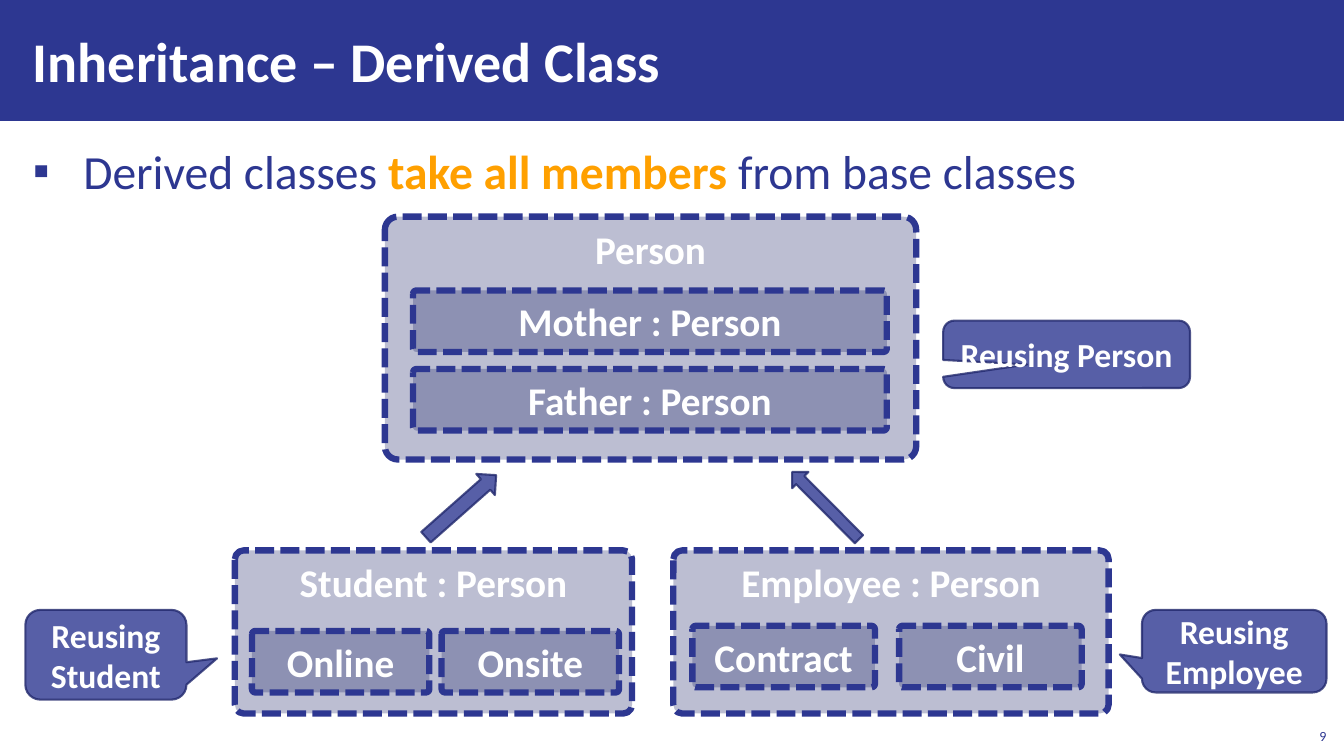
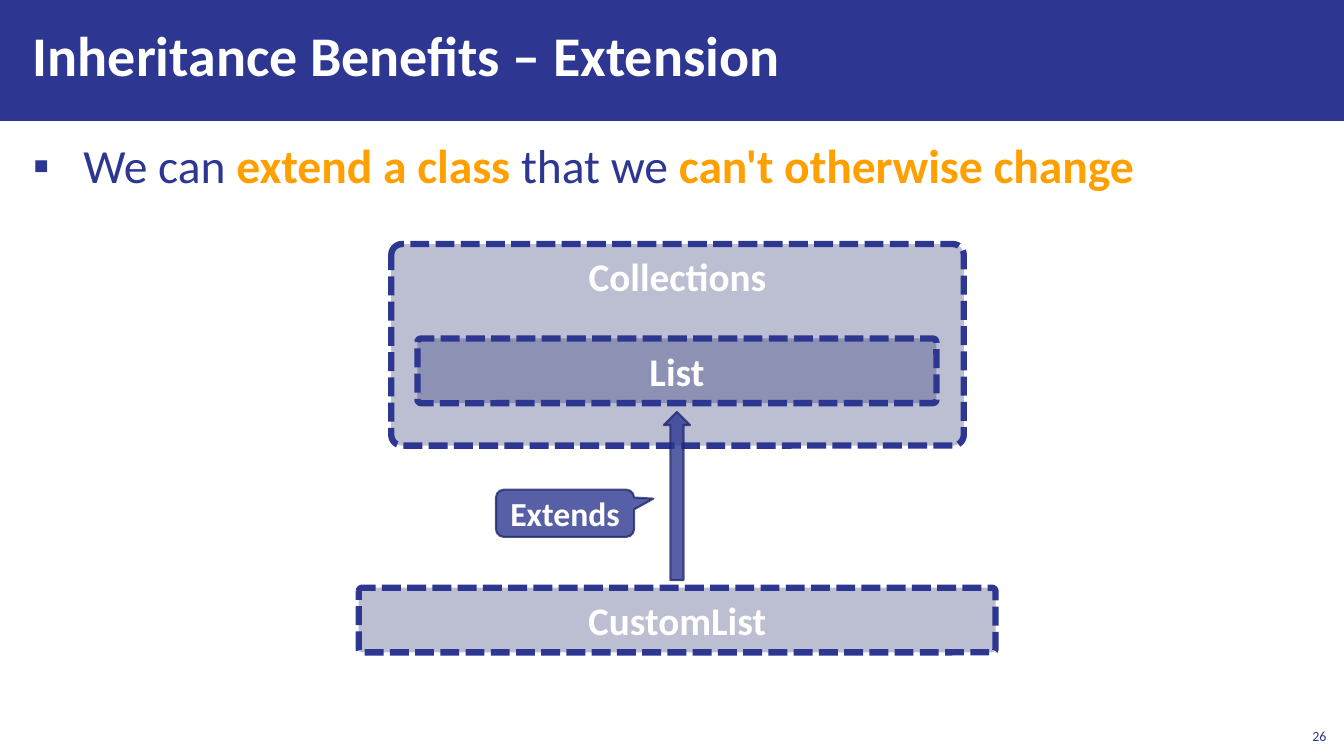
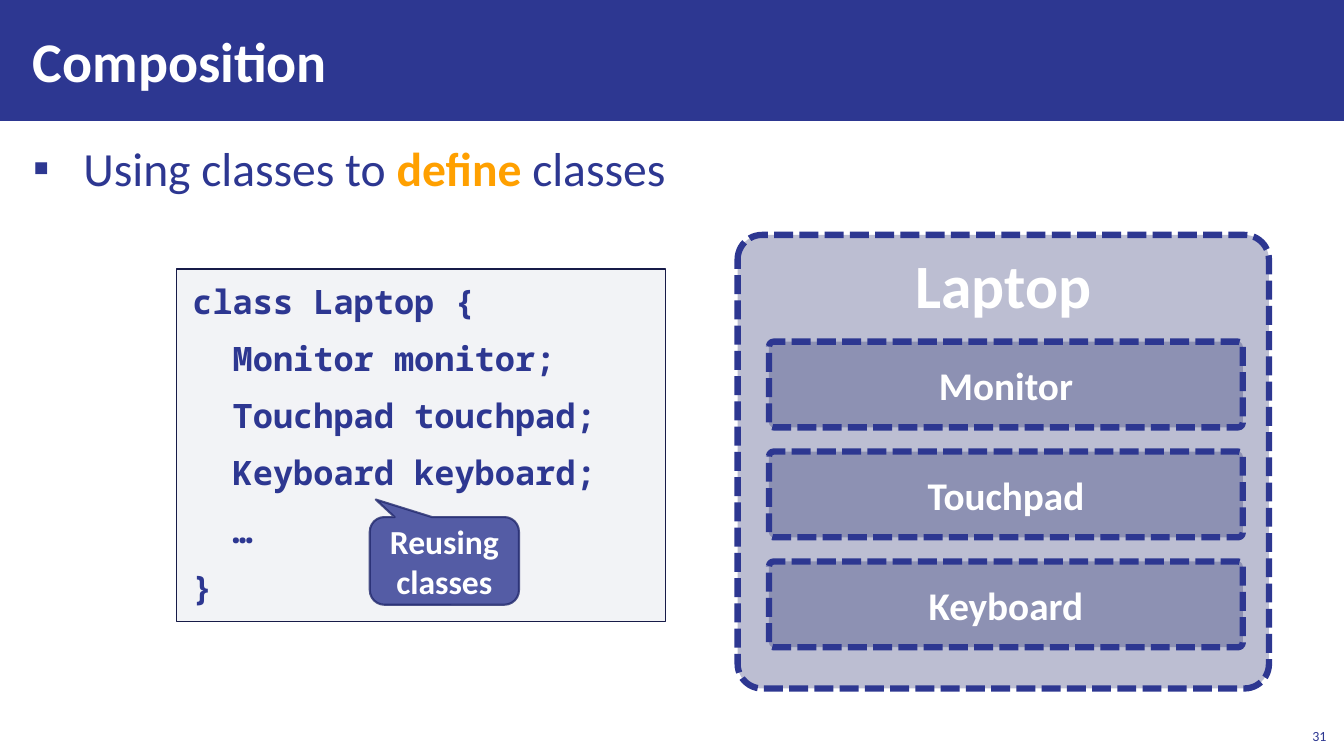
from lxml import etree
from pptx import Presentation
from pptx.dml.color import RGBColor
from pptx.enum import dml, shapes, text
from pptx.oxml import ns
from pptx.util import Cm, Pt

NAVY = RGBColor(0x2D, 0x37, 0x91)
DARK = RGBColor(0x22, 0x29, 0x6D)
CODE_LINE = RGBColor(0x17, 0x1B, 0x48)
CODE_FILL = RGBColor(0xAD, 0xB4, 0xC3)
ORANGE = RGBColor(0xFF, 0xA0, 0x00)
WHITE = RGBColor(0xFF, 0xFF, 0xFF)
FONT = "Calibri"
CODE_FONT = "Noto Sans Mono"
SHAPE = shapes.MSO_SHAPE
TOP, MIDDLE, BOTTOM = (text.MSO_ANCHOR.TOP, text.MSO_ANCHOR.MIDDLE,
                       text.MSO_ANCHOR.BOTTOM)
LEFT, CENTER, RIGHT = (text.PP_ALIGN.LEFT, text.PP_ALIGN.CENTER,
                       text.PP_ALIGN.RIGHT)


def place(sp, left, top, width, height):
    sp.left, sp.top, sp.width, sp.height = map(Cm, (left, top, width, height))


def set_frame(tf, anchor, side, end):
    """Wrap the text, fix its size, and set the anchor and the margins."""
    tf.word_wrap = True
    tf.auto_size = text.MSO_AUTO_SIZE.NONE
    tf.vertical_anchor = anchor
    tf.margin_left = tf.margin_right = Cm(side)
    tf.margin_top = tf.margin_bottom = Cm(end)


def style_run(r, size, color, bold=False, font=FONT):
    r.font.name = font
    r.font.size = Pt(size)
    r.font.bold = bold
    r.font.color.rgb = color


def set_color(fill, color, opacity=100):
    fill.solid()
    fill.fore_color.rgb = color
    if opacity < 100:
        clr = fill._xPr.find(".//" + ns.qn("a:srgbClr"))
        etree.SubElement(clr, ns.qn("a:alpha"), val=str(opacity * 1000))


def add_shape(s, kind, at, fill, opacity=100):
    sp = s.shapes.add_shape(kind, *map(Cm, at))
    sp.shadow.inherit = False
    set_color(sp.fill, fill, opacity)
    return sp


def set_label(sp, label, size, anchor=MIDDLE):
    tf = sp.text_frame
    set_frame(tf, anchor, 0.25, 0.13)
    tf.text = label
    p = tf.paragraphs[0]
    p.alignment = CENTER
    style_run(p.runs[0], size, WHITE, True)


def add_class(s, label, at, anchor=MIDDLE, size=28):
    """Dashed, see-through box that stands for a class."""
    sp = add_shape(s, SHAPE.ROUNDED_RECTANGLE, at, DARK, 30)
    sp.adjustments[0] = 0.054
    sp.line.color.rgb = NAVY
    sp.line.width = Pt(4.5)
    sp.line.dash_style = dml.MSO_LINE.SQUARE_DOT
    set_label(sp, label, size, anchor)


def add_members(s, labels, at, dx=0, dy=0):
    """Equal class boxes in a row (dx) or a column (dy)."""
    left, top, width, height = at
    for i, label in enumerate(labels):
        add_class(s, label, (left + i * dx, top + i * dy, width, height))


def add_solid(s, kind, at):
    """Callout or arrow in the shared accent look."""
    sp = add_shape(s, kind, at, NAVY, 80)
    sp.line.width = Pt(1.5)
    set_color(sp.line.fill, DARK, 80)
    return sp


def add_callout(s, label, at, tip_x, tip_y):
    sp = add_solid(s, SHAPE.ROUNDED_RECTANGULAR_CALLOUT, at)
    sp.adjustments[0] = tip_x
    sp.adjustments[1] = tip_y
    set_label(sp, label, 24)


def add_arrow(s, at, rotation):
    add_solid(s, SHAPE.RIGHT_ARROW, at).rotation = rotation


def add_code(s, lines, at):
    sp = add_shape(s, SHAPE.RECTANGLE, at, CODE_FILL, 15)
    sp.line.color.rgb = CODE_LINE
    sp.line.width = Pt(1)
    tf = sp.text_frame
    set_frame(tf, TOP, 0.4, 0.3)
    tf.text = "\n".join(lines)
    for i, p in enumerate(tf.paragraphs):
        p.alignment = LEFT
        p.line_spacing = Pt(28.8)
        p.space_before = Pt(6 if i else 0)
        p.space_after = Pt(6)
        style_run(p.runs[0], 24, NAVY, True, CODE_FONT)


def set_bullet(p):
    pPr = p._p.get_or_add_pPr()
    pPr.set("marL", str(Cm(1.27)))
    pPr.set("indent", str(-Cm(1.27)))
    etree.SubElement(pPr, ns.qn("a:buChar"), char="▪")


def add_number(s, number):
    tb = s.shapes.add_textbox(Cm(32.66), Cm(18.08), Cm(1.02), Cm(0.81))
    tf = tb.text_frame
    set_frame(tf, BOTTOM, 0.25, 0.13)
    tf.text = str(number)
    tf.paragraphs[0].alignment = RIGHT
    style_run(tf.paragraphs[0].runs[0], 10, NAVY)


def add_slide(prs, title, bullet, number, title_spacing=1.0, spacing=1.0):
    """Slide with title, number and one bullet; *stars* mark emphasis."""
    s = prs.slides.add_slide(prs.slide_layouts[1])
    tf = s.shapes.title.text_frame
    set_frame(tf, MIDDLE, 0.3, 0.1)
    tf.text = title
    p = tf.paragraphs[0]
    p.alignment = LEFT
    p.line_spacing = title_spacing
    style_run(p.runs[0], 40, WHITE, True)

    tf = s.placeholders[1].text_frame
    set_frame(tf, TOP, 0.3, 0.1)
    p = tf.paragraphs[0]
    set_bullet(p)
    p.line_spacing = spacing
    p.space_before = Pt(0)
    p.space_after = Pt(6)
    for i, part in enumerate(bullet.split("*")):
        if part:
            r = p.add_run()
            r.text = part
            strong = i % 2 == 1
            style_run(r, 34, ORANGE if strong else NAVY, strong)
    add_number(s, number)
    return s


def set_layout(layout, s):
    """Place title and body for all slides and move a band from s behind them."""
    title, body = layout.placeholders[0], layout.placeholders[1]
    place(title, 0.53, 0.28, 26.42, 2.46)
    place(body, 0.53, 3.33, 32.82, 14.45)
    band = add_shape(s, SHAPE.RECTANGLE, (0, 0, 33.87, 3.05), NAVY)
    band.line.fill.background()
    band.element.nvSpPr.cNvPr.id = 20
    layout.shapes.element.insert(2, band.element)


def draw_derived_classes(s):
    add_class(s, "Person", (9.7, 5.46, 13.39, 6.12), TOP)
    add_class(s, "Student : Person", (5.92, 13.87, 10.01, 4.11), TOP)
    add_class(s, "Employee : Person", (16.97, 13.87, 10.97, 4.11), TOP)
    add_members(s, ["Mother : Person", "Father : Person"],
                (10.41, 7.32, 11.94, 1.55), dy=1.98)
    add_members(s, ["Online", "Onsite"], (6.35, 15.9, 4.47, 1.55), dx=4.78)
    add_members(s, ["Contract", "Civil"], (17.45, 15.77, 4.6, 1.55), dx=5.21)
    add_callout(s, "Reusing Person", (23.77, 8.08, 6.22, 1.7), -0.16, 0.15)
    add_callout(s, "Reusing Employee", (28.78, 15.37, 4.65, 2.08), -0.62, 0.04)
    add_callout(s, "Reusing Student", (0.64, 15.37, 4.06, 2.26), 0.69, 0.04)
    add_arrow(s, (10.44, 12.4, 2.36, 0.71), 318.5)
    add_arrow(s, (19.61, 12.45, 2.39, 0.58), 225.2)


def draw_extension(s):
    add_class(s, "Collections", (9.86, 6.15, 14.43, 5.08), TOP)
    add_class(s, "List", (10.52, 8.53, 13.08, 1.63))
    add_class(s, "CustomList", (9.04, 14.81, 16.05, 1.63))
    add_callout(s, "Extends", (12.5, 12.34, 3.48, 1.19), 0.64, -0.31)
    add_arrow(s, (14.94, 12.17, 4.24, 0.66), 270)


def draw_composition(s):
    code = ["class Laptop {", "  Monitor monitor;", "  Touchpad touchpad;",
            "  Keyboard keyboard;", "  …", "}"]
    add_code(s, code, (4.45, 6.78, 12.32, 8.89))
    add_callout(s, "Reusing classes", (9.32, 13.03, 3.76, 2.21), -0.46, -0.7)
    add_class(s, "Laptop", (18.59, 5.92, 13.39, 11.43), TOP, 44)
    add_members(s, ["Monitor", "Touchpad", "Keyboard"],
                (19.38, 8.61, 11.94, 2.16), dy=2.77)


def main():
    prs = Presentation()
    prs.slide_width, prs.slide_height = Cm(33.87), Cm(19.05)

    s = add_slide(prs, "Inheritance – Derived Class",
                  "Derived classes *take all members *from base classes",
                  9, spacing=1.1)
    set_layout(s.slide_layout, s)
    draw_derived_classes(s)

    s = add_slide(prs, "Inheritance Benefits – Extension",
                  "We can *extend a class *that we *can't otherwise change*",
                  26, title_spacing=Pt(40))
    draw_extension(s)

    s = add_slide(prs, "Composition", "Using classes to *define* classes",
                  31, spacing=1.05)
    draw_composition(s)

    prs.save("out.pptx")


if __name__ == "__main__":
    main()
